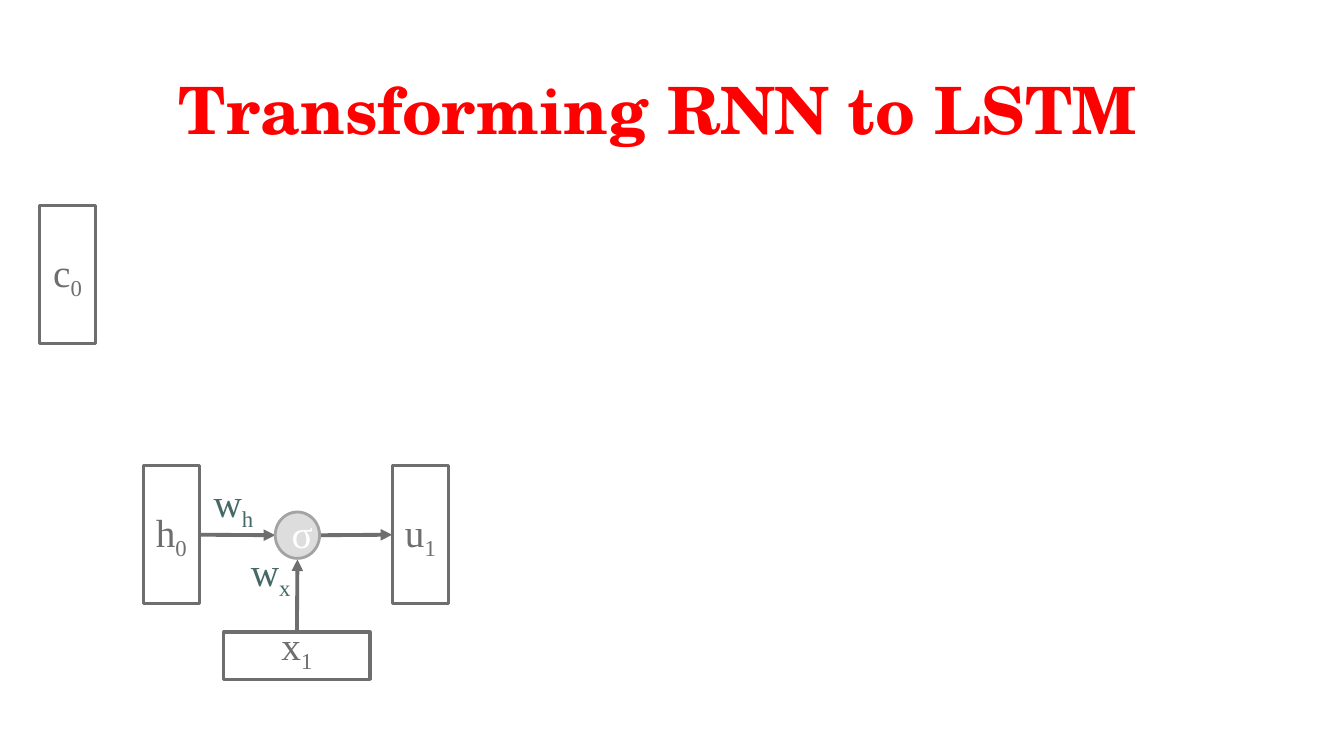
from lxml import etree
from pptx import Presentation
from pptx.dml.color import RGBColor
from pptx.enum.shapes import MSO_CONNECTOR, MSO_SHAPE
from pptx.enum.text import MSO_ANCHOR, PP_ALIGN
from pptx.oxml.ns import qn
from pptx.util import Inches, Pt

RECT, OVAL = MSO_SHAPE.RECTANGLE, MSO_SHAPE.OVAL
STRAIGHT = MSO_CONNECTOR.STRAIGHT
TOP, MIDDLE, BOTTOM = MSO_ANCHOR.TOP, MSO_ANCHOR.MIDDLE, MSO_ANCHOR.BOTTOM
CENTER = PP_ALIGN.CENTER
SIDE_TOP, SIDE_LEFT, SIDE_RIGHT = 0, 1, 3

RED = RGBColor(0xFF, 0x00, 0x00)
GRAY = RGBColor(0x6E, 0x6E, 0x6E)
RIM = RGBColor(0xA3, 0xA3, 0xA3)
PALE = RGBColor(0xDD, 0xDD, 0xDD)
TEAL = RGBColor(0x45, 0x69, 0x68)
WHITE = RGBColor(0xFF, 0xFF, 0xFF)

STATE_W, STATE_H = 0.56, 1.37


def set_text(sp, text, sub="", color=GRAY, anchor=MIDDLE,
             font="Times New Roman", size=28):
    """Write centred text with an optional subscript."""
    tf = sp.text_frame
    tf.word_wrap = True
    tf.vertical_anchor = anchor
    p = tf.paragraphs[0]
    p.alignment = CENTER
    p.font.name, p.font.size, p.font.color.rgb = font, Pt(size), color
    p.add_run().text = text
    if sub:
        r = p.add_run()
        r.text = sub
        r.font._element.set("baseline", "-25000")
    return p


def add_node(slide, kind, x, y, w, h, fill=WHITE, line=GRAY, width=2.25):
    sp = slide.shapes.add_shape(kind, Inches(x), Inches(y), Inches(w), Inches(h))
    sp.shadow.inherit = False
    sp.fill.solid()
    sp.fill.fore_color.rgb = fill
    sp.line.color.rgb = line
    sp.line.width = Pt(width)
    return sp


def add_state(slide, x, y, text, sub):
    sp = add_node(slide, RECT, x, y, STATE_W, STATE_H)
    set_text(sp, text, sub)
    return sp


def add_arrow(slide, x1, y1, x2, y2):
    c = slide.shapes.add_connector(STRAIGHT, Inches(x1), Inches(y1),
                                   Inches(x2), Inches(y2))
    c.line.color.rgb = GRAY
    c.line.width = Pt(2.75)
    etree.SubElement(c.line._get_or_add_ln(), qn("a:tailEnd"), type="triangle")
    etree.SubElement(c._element.spPr, qn("a:effectLst"))
    return c


def add_title(slide, x, y, w, h):
    sp = slide.shapes.add_textbox(Inches(x), Inches(y), Inches(w), Inches(h))
    p = set_text(sp, "Transforming RNN to LSTM", color=RED,
                 font="TeX Gyre Schola", size=46.6)
    p.font.bold = True


def add_rnn_cell(slide, x, y):
    """Draw the recurrent cell with its top left corner at x, y."""
    # Weight labels
    for dx, dy, sub in ((0.9, 0.76, "x"), (0.53, 0.08, "h")):
        sp = slide.shapes.add_textbox(Inches(x + dx), Inches(y + dy),
                                      Inches(0.73), Inches(0.88))
        set_text(sp, "w", sub, TEAL, TOP)

    # Input, previous state and output
    source = add_node(slide, RECT, x + 0.8, y + 1.65, 1.45, 0.47)
    set_text(source, "x", "1", anchor=BOTTOM)
    state = add_state(slide, x, y, "h", "0")
    output = add_state(slide, x + 2.47, y, "u", "1")

    # Arrows into and out of the activation
    mid_x, mid_y = x + 1.53, y + 0.69
    left, right, bottom = mid_x - 0.22, mid_x + 0.22, mid_y + 0.24
    add_arrow(slide, x + STATE_W, mid_y, left, mid_y).begin_connect(state, SIDE_RIGHT)
    add_arrow(slide, mid_x, y + 1.65, mid_x, bottom).begin_connect(source, SIDE_TOP)
    add_arrow(slide, right, mid_y, x + 2.47, mid_y).end_connect(output, SIDE_LEFT)

    # Activation
    sp = add_node(slide, OVAL, left, mid_y - 0.23, 0.44, 0.46, PALE, RIM, 2)
    sp.text_frame.margin_bottom = Inches(0.1)
    set_text(sp, "σ", color=WHITE)


def main():
    prs = Presentation()
    prs.slide_width, prs.slide_height = Inches(13.33), Inches(7.5)
    slide = prs.slides.add_slide(prs.slide_layouts[6])
    add_title(slide, 0.37, 0.57, 12.3, 1.02)
    add_rnn_cell(slide, 1.42, 4.62)
    add_state(slide, 0.39, 2.04, "c", "0")
    prs.save("out.pptx")


if __name__ == "__main__":
    main()
